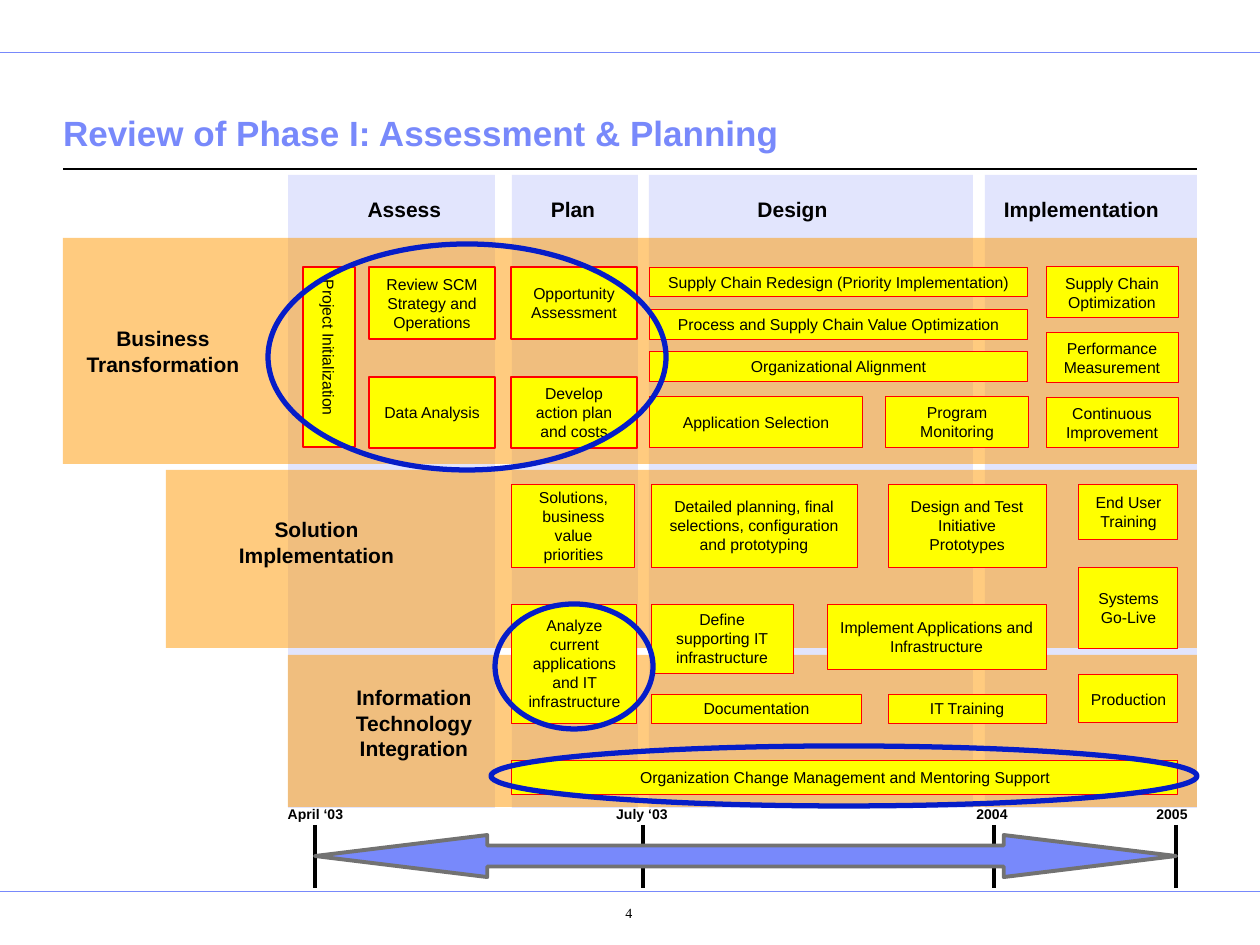
from lxml.etree import SubElement
from pptx import Presentation
from pptx.dml.color import RGBColor
from pptx.enum.shapes import MSO_CONNECTOR, MSO_SHAPE
from pptx.enum.text import MSO_ANCHOR, MSO_AUTO_SIZE, PP_ALIGN
from pptx.oxml.ns import qn
from pptx.util import Emu, Pt

SCALE = 914400 / 126
BLACK = RGBColor(0x00, 0x00, 0x00)
BLUE = RGBColor(0x78, 0x89, 0xFB)
PALE = RGBColor(0xC7, 0xCD, 0xFD)
ORANGE = RGBColor(0xFF, 0x99, 0x00)
YELLOW = RGBColor(0xFF, 0xFF, 0x00)
RED = RGBColor(0xFF, 0x00, 0x00)
NAVY = RGBColor(0x06, 0x1D, 0xC8)
GRAY = RGBColor(0x72, 0x72, 0x72)

PHASES = [(288, 207), (985, 212), (649, 324), (512, 126)]
TRACKS = [(63, 238, 1134, 226), (166, 470, 1031, 178), (288, 655, 909, 152)]
HEADS = [("Assess", 368, 73), ("Plan", 551, 44), ("Design", 757, 71),
         ("Implementation", 1004, 155)]
LABELS = [
    ("Business\nTransformation", (86, 326, 154, 50)),
    ("Solution\nImplementation", (239, 517, 155, 50)),
    ("Information\nTechnology\nIntegration", (355, 685, 118, 76)),
]
DESIGN = ["Supply Chain Redesign (Priority Implementation)",
          "Process and Supply Chain Value Optimization",
          "Organizational Alignment"]
RESULTS = ["Supply Chain Optimization", "Performance Measurement",
           "Continuous Improvement"]
TASKS = [
    ("Application Selection", (649, 396, 214, 52)),
    ("Program Monitoring", (885, 396, 144, 52)),
    ("Solutions, business value priorities", (512, 484, 123, 83)),
    ("Detailed planning, final selections, configuration and prototyping",
     (651, 484, 206, 83)),
    ("Design and Test Initiative Prototypes", (888, 484, 158, 83)),
    ("End User Training", (1079, 484, 99, 55)),
    ("Systems\vGo-Live", (1079, 567, 99, 81)),
    ("Analyze current applications and IT infrastructure",
     (512, 604, 125, 119)),
    ("Define supporting IT infrastructure", (651, 604, 142, 69)),
    ("Implement Applications and Infrastructure", (827, 604, 219, 66)),
    ("Documentation", (651, 694, 211, 29)),
    ("IT Training", (888, 694, 158, 29)),
    ("Organization Change Management and Mentoring Support",
     (512, 760, 666, 35)),
]
STARTS = [
    ("Review SCM Strategy and Operations", (369, 267, 126, 72)),
    ("Data Analysis", (369, 377, 126, 71)),
    ("Opportunity Assessment", (511, 267, 126, 72)),
    ("Develop action plan and costs", (511, 377, 126, 71)),
]
RINGS = [(268, 244, 398, 226), (495, 604, 158, 125), (491, 746, 706, 60)]
DATES = [("April ‘03", 260, 111, 315), ("July ‘03", 596, 92, 643),
         ("2004", 946, 92, 994), ("2005", 1126, 92, 1176)]


def px(num):
    """Turn pixels into EMU."""
    return Emu(round(num * SCALE))


def setup(item, vals):
    """Set each named value on an item."""
    for name, val in vals.items():
        setattr(item, name, val)


def write(frame, words, size, bold=False, align=PP_ALIGN.CENTER,
          face="Arial", color=BLACK, pads=(13, 6, 13, 6),
          anchor=MSO_ANCHOR.TOP, wrap=True):
    """Fill a text frame with styled paragraphs."""
    left, top, right, base = map(px, pads)
    setup(frame, {
        "text": words, "word_wrap": wrap, "auto_size": MSO_AUTO_SIZE.NONE,
        "vertical_anchor": anchor, "margin_left": left, "margin_top": top,
        "margin_right": right, "margin_bottom": base})
    for para in frame.paragraphs:
        para.alignment = align
        setup(para.font, {"name": face, "size": Pt(size), "bold": bold})
        para.font.color.rgb = color


def label(slide, words, area, size, **style):
    """Add a plain text box."""
    box = slide.shapes.add_textbox(*map(px, area))
    write(box.text_frame, words, size, **style)


def shape(slide, kind, area, fill=None, line=None, width=0.5):
    """Add a preset shape with flat colours."""
    item = slide.shapes.add_shape(kind, *map(px, area))
    item.shadow.inherit = False
    if fill is None:
        item.fill.background()
    else:
        item.fill.solid()
        item.fill.fore_color.rgb = fill
    if line is None:
        item.line.fill.background()
    else:
        item.line.color.rgb = line
        item.line.width = Pt(width)
    return item


def band(slide, area, color):
    """Add a half clear band."""
    item = shape(slide, MSO_SHAPE.RECTANGLE, area, color)
    tone = item.fill._xPr.find(".//" + qn("a:srgbClr"))
    SubElement(tone, qn("a:alpha"), val="50000")


def task(slide, words, area, width=0.5, pads=(13, 6, 13, 6)):
    """Add a yellow task box."""
    item = shape(slide, MSO_SHAPE.RECTANGLE, area, YELLOW, RED, width)
    write(item.text_frame, words, 9, pads=pads, anchor=MSO_ANCHOR.MIDDLE)
    return item


def rule(slide, ends, color, width):
    """Add a straight line."""
    line = slide.shapes.add_connector(MSO_CONNECTOR.STRAIGHT, *map(px, ends))
    line.line.color.rgb = color
    line.line.width = Pt(width)
    SubElement(line._element.spPr, qn("a:effectLst"))


def title(slide, words):
    """Place the title and the rules of the page."""
    head = slide.shapes.title
    setup(head, dict(zip(("left", "top", "width", "height"),
                         map(px, (63, 81, 1134, 79)))))
    write(head.text_frame, words, 20, bold=True, align=PP_ALIGN.LEFT,
          color=BLUE, pads=(0, 6, 0, 6), anchor=MSO_ANCHOR.BOTTOM)
    for y in (52, 891):
        rule(slide, (0, y, 1260, y), BLUE, 0.5)
    rule(slide, (63, 169, 1197, 169), BLACK, 0.75)


def grid(slide):
    """Add phase columns, track rows and their names."""
    for x, wide in PHASES:
        band(slide, (x, 175, wide, 633), PALE)
    for area in TRACKS:
        band(slide, area, ORANGE)
    names = LABELS + [(words, (x, 197, wide, 25)) for words, x, wide in HEADS]
    for words, area in names:
        label(slide, words, area, 12, bold=True, pads=(0, 0, 0, 0), wrap=False)


def tasks(slide):
    """Add all task boxes."""
    for row, words in enumerate(DESIGN):
        task(slide, words, (649, 267 + 42 * row, 379, 30))
    for row, words in enumerate(RESULTS):
        task(slide, words, (1046, 267 + 65 * row, 132, 51))
    for words, area in TASKS:
        task(slide, words, area)
    task(slide, "Production", (1079, 675, 99, 48), pads=(0, 6, 0, 6))
    for words, area in STARTS:
        task(slide, words, area, 1)
    item = task(slide, "Project Initialization", (303, 267, 52, 180), 1,
                (6, 13, 6, 13))
    item.text_frame._txBody.bodyPr.set("vert", "eaVert")


def span(slide):
    """Add the time line."""
    for words, x, wide, tick in DATES:
        rule(slide, (tick, 825, tick, 888), BLACK, 2.25)
        label(slide, words, (x, 800, wide, 30), 8, bold=True)
    arrow = shape(slide, MSO_SHAPE.LEFT_RIGHT_ARROW, (315, 835, 861, 42),
                  BLUE, GRAY, 2.25)
    arrow.adjustments[0] = 0.5
    arrow.adjustments[1] = 4.1


def main():
    """Build and save the slide."""
    deck = Presentation()
    setup(deck, {"slide_width": px(1260), "slide_height": px(945)})
    slide = deck.slides.add_slide(deck.slide_layouts[5])
    title(slide, "Review of Phase I: Assessment & Planning")
    grid(slide)
    tasks(slide)
    span(slide)
    for area in RINGS:
        shape(slide, MSO_SHAPE.OVAL, area, line=NAVY, width=3)
    label(slide, "4", (538, 896, 145, 44), 8, face="Times New Roman",
          pads=(50, 9, 13, 6))
    deck.save("out.pptx")


if __name__ == "__main__":
    main()
